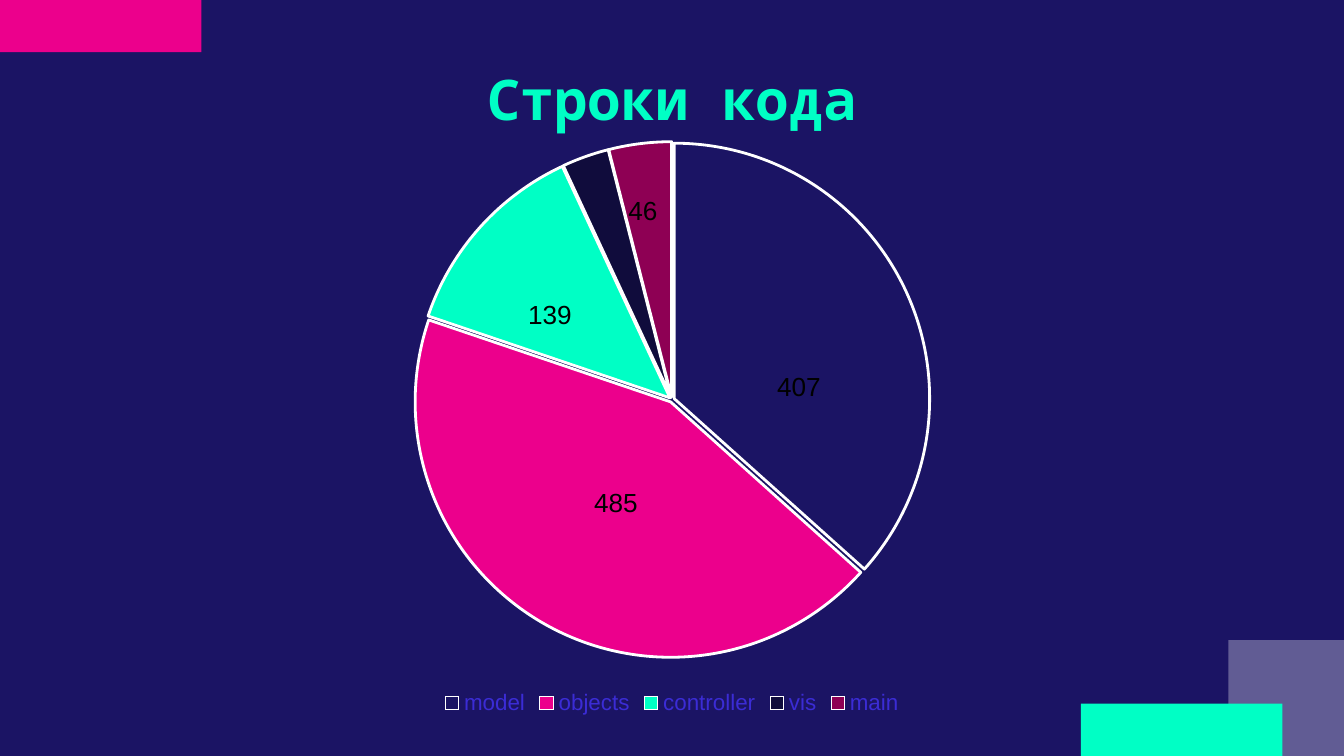
from lxml.etree import SubElement
from pptx import Presentation
from pptx.chart.data import CategoryChartData
from pptx.dml.color import RGBColor
from pptx.enum.chart import XL_CHART_TYPE as ChartType, XL_LEGEND_POSITION as LegendPosition
from pptx.enum.shapes import MSO_SHAPE as Shape
from pptx.enum.text import MSO_ANCHOR as Anchor, PP_ALIGN as Align
from pptx.oxml.ns import qn
from pptx.util import Pt

WIDTH, HEIGHT = 720, 405
NAVY, PINK, MINT = "1B1464", "EC008C", "00FFC5"
SHARES = [
    ("model", 37, NAVY),
    ("objects", 44, PINK),
    ("controller", 13, MINT),
    ("vis", 3, "100C3C"),
    ("main", 4, "8E0054"),
]
BAR_WIDTH, BAR_HEIGHT = 108, 28
LABEL_WIDTH, LABEL_HEIGHT = 97, 55.5
LINE_COUNTS = [
    ("139", 246.2, 139),
    ("485", 281.5, 239.8),
    ("46", 296, 83.5),
    ("407", 379.5, 178),
]


def color(hex_code):
    return RGBColor.from_string(hex_code)


class Deck:
    """Holds the shared style and the slide being filled."""

    body_font = "Arial"
    title_font = "Noto Sans Mono"
    inset = 7.2

    def __init__(self):
        self.presentation = Presentation()
        self.presentation.slide_width = Pt(WIDTH)
        self.presentation.slide_height = Pt(HEIGHT)
        self.slide = self.presentation.slides.add_slide(self.presentation.slide_layouts[6])
        background = self.slide.background.fill
        background.solid()
        background.fore_color.rgb = color(NAVY)

    def block(self, left, top, width, height, fill, opacity=100):
        block = self.slide.shapes.add_shape(
            Shape.RECTANGLE, Pt(left), Pt(top), Pt(width), Pt(height))
        block.shadow.inherit = False
        block.line.fill.background()
        block.fill.solid()
        block.fill.fore_color.rgb = color(fill)
        if opacity < 100:
            tint = block.fill._xPr.find(qn("a:solidFill"))[0]
            SubElement(tint, qn("a:alpha")).set("val", str(opacity * 1000))

    def text(self, words, left, top, width, height, *, size=14, font=body_font,
             ink="000000", bold=False, anchor=Anchor.TOP, spacing=None, after=None):
        frame = self.slide.shapes.add_textbox(
            Pt(left), Pt(top), Pt(width), Pt(height)).text_frame
        frame.word_wrap = True
        frame.vertical_anchor = anchor
        frame.margin_left = frame.margin_right = Pt(self.inset)
        frame.margin_top = frame.margin_bottom = Pt(self.inset)
        paragraph = frame.paragraphs[0]
        paragraph.alignment = Align.CENTER
        if spacing is not None:
            paragraph.line_spacing = spacing
        if after is not None:
            paragraph.space_after = Pt(after)
        run = paragraph.add_run()
        run.text = words
        run.font.size = Pt(size)
        run.font.name = font
        run.font.bold = bold
        run.font.color.rgb = color(ink)

    def pie(self, shares, left, top, width, height):
        names, values, fills = zip(*shares)
        data = CategoryChartData()
        data.categories = names
        data.add_series("Series 1", values)
        chart = self.slide.shapes.add_chart(
            ChartType.PIE, Pt(left), Pt(top), Pt(width), Pt(height), data).chart
        chart.has_title = False
        chart.font.size = Pt(10)
        chart.font.name = self.body_font
        chart.font.color.rgb = color(NAVY)
        chart.has_legend = True
        legend = chart.legend
        legend.position = LegendPosition.BOTTOM
        legend.include_in_layout = False
        legend.font.size = Pt(12)
        legend.font.name = self.body_font
        legend.font.color.rgb = color("3B2CD5")

        plot = chart.plots[0]
        plot.vary_by_categories = True
        series = plot.series[0]
        for index, fill in enumerate(fills):
            slice_format = series.points[index].format
            slice_format.fill.solid()
            slice_format.fill.fore_color.rgb = color(fill)
            slice_format.line.color.rgb = color("FFFFFF")
            slice_format.line.width = Pt(1.5)
        for point in series._element.findall(qn("c:dPt")):
            explosion = point.makeelement(qn("c:explosion"), {"val": "1"})
            point.find(qn("c:spPr")).addprevious(explosion)

    def save(self):
        self.presentation.save("out.pptx")


def main():
    deck = Deck()
    deck.block(0, 0, BAR_WIDTH, BAR_HEIGHT, PINK)
    deck.block(658, 343, 62, 62, "FFFFFF", opacity=31)
    deck.block(579, HEIGHT - BAR_HEIGHT, BAR_WIDTH, BAR_HEIGHT, MINT)
    deck.text("Строки кода", 101, 27.4, 518, 52.6,
              size=30, font=deck.title_font, ink=MINT, bold=True)
    deck.pie(SHARES, 120, 66, 480, 320)
    for count, left, top in LINE_COUNTS:
        deck.text(count, left, top, LABEL_WIDTH, LABEL_HEIGHT,
                  anchor=Anchor.MIDDLE, spacing=1.15, after=16)
    deck.save()


if __name__ == "__main__":
    main()
